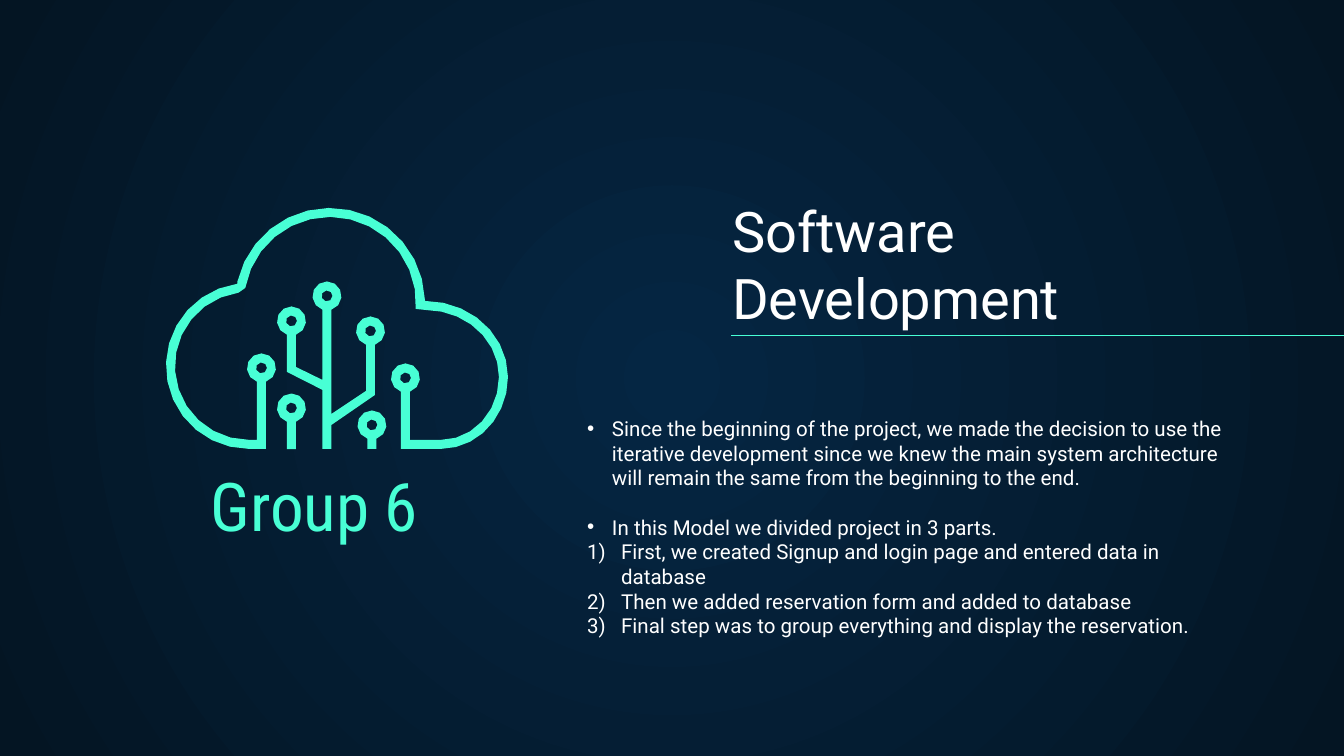
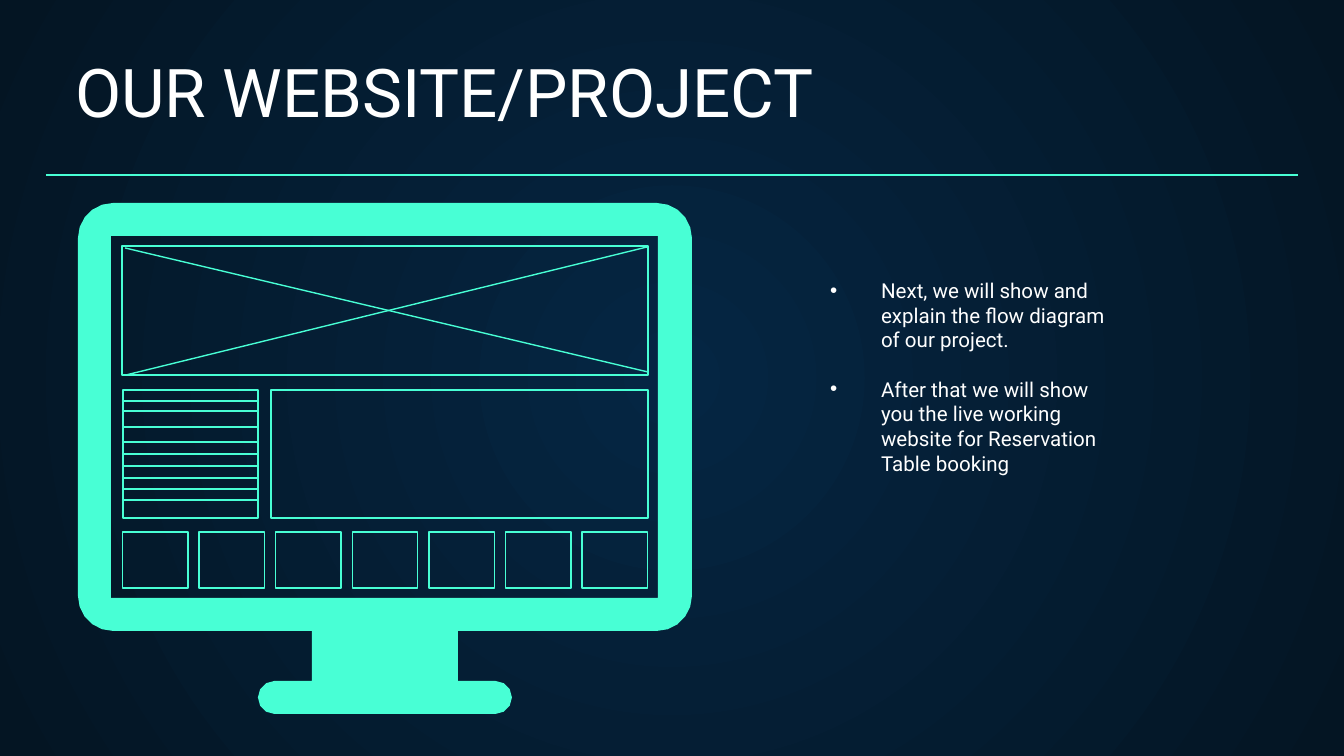
import math

from lxml import etree
from pptx import Presentation
from pptx.dml.color import RGBColor
from pptx.enum import shapes, text
from pptx.oxml.ns import qn
from pptx.util import Emu, Pt

# Shared look; lengths are pixels at 134.4 to the inch
W, H = 1344, 756
SCALE = 914400 / 134.4
GLOW, NIGHT, MINT, WHITE = "052643", "041523", "48FFD5", "FFFFFF"
FONT, CONDENSED = "Roboto", "Roboto Condensed"
INSET, LINE_PT, BODY_PT, GAP_PT = 13, 0.75, 11, 13.2
TOLERANCE = 0.6  # how far a chord may stray from its arc

# Body paragraphs: text, numbered, hanging (left, first line), space before
BULLET, NUMBER, WIDE = (25, -25), (34, -34), (67, -51)
PROCESS = [
    ("Since the beginning of the project, we made the decision to use the "
     "iterative development since we knew the main system architecture will "
     "remain the same from the beginning to the end.", False, BULLET, 0),
    ("In this Model we divided project in 3 parts.", False, BULLET, GAP_PT),
    ("First, we created Signup and login page and entered data in database",
     True, NUMBER, 0),
    ("Then we added reservation form and added to database", True, NUMBER, 0),
    ("Final step was to group everything and display the reservation.",
     True, NUMBER, 0),
]
NEXT_STEPS = [
    ("Next, we will show and explain the flow diagram of our project.",
     False, WIDE, 0),
    ("After that we will show you the live working website for Reservation "
     "Table booking", False, WIDE, GAP_PT),
]

# Cloud of circuits: node centres, ring radii, half the stroke, ground line
RING, HOLE, HALF, GROUND = 14.5, 5.5, 4.5, 449
TOP, LEFT_TWIG, RIGHT_TWIG = (327, 296), (291.5, 321), (370.5, 331)
LEFT_END, RIGHT_END = (261.5, 368), (405.5, 378)
SHORT_NODES = [(291.5, 408), (372, 425)]

# Wireframe on the monitor
PANELS = [(122, 246, 526, 129), (123, 390, 135, 128), (271, 390, 377, 128)]
TILES, TILE, TILE_STEP = 7, (122.5, 532, 65.5, 56), 76.6
CROSS = [(125, 248, 648, 372), (126, 375, 647, 247)]
MENU_LEFT, MENU_RIGHT = 123, 258
MENU_ROWS = [401, 411, 427, 442, 454, 466, 478, 489, 500]


def px(n):
    """Turn pixels into EMU."""
    return Emu(round(n * SCALE))


def rgb(value):
    """Turn a hex string into a colour."""
    return RGBColor.from_string(value)


def paint_background(master):
    """Give the master a radial glow."""
    fill = master.background.fill
    fill.gradient()
    for stop, position, colour in zip(fill.gradient_stops, (0, 1),
                                      (GLOW, NIGHT)):
        stop.position = position
        stop.color.rgb = rgb(colour)
    grad = master.element.find(".//" + qn("p:bgPr")).find(qn("a:gradFill"))
    lin = grad.find(qn("a:lin"))
    if lin is not None:
        grad.remove(lin)
    glow = etree.Element(qn("a:path"), {"path": "circle"})
    etree.SubElement(glow, qn("a:fillToRect"),
                     dict.fromkeys("ltrb", "50000"))
    grad.find(qn("a:gsLst")).addnext(glow)


def setup_frame(sp, box, anchor):
    """Place a text shape and return its prepared text frame."""
    sp.left, sp.top, sp.width, sp.height = map(px, box)
    tf = sp.text_frame
    tf.word_wrap = True
    tf.auto_size = text.MSO_AUTO_SIZE.NONE
    tf.vertical_anchor = anchor
    tf.margin_left = tf.margin_right = px(INSET)
    tf.margin_top = tf.margin_bottom = px(INSET)
    return tf


def style_runs(p, size, font, colour):
    """Format every run of a paragraph."""
    for r in p.runs:
        r.font.size = Pt(size)
        r.font.name = font
        r.font.color.rgb = rgb(colour)


def set_title(sp, box, words, size, font=FONT, colour=WHITE,
              align=text.PP_ALIGN.LEFT):
    """Write a heading that stands on the bottom of its box."""
    p = setup_frame(sp, box, text.MSO_ANCHOR.BOTTOM).paragraphs[0]
    p.text = words
    p.alignment = align
    style_runs(p, size, font, colour)


def set_bullet(p, numbered, hanging):
    """Add a white dot or number with a hanging indent."""
    pPr = p._p.get_or_add_pPr()
    pPr.set("marL", str(px(hanging[0])))
    pPr.set("indent", str(px(hanging[1])))
    colour = etree.SubElement(pPr, qn("a:buClr"))
    etree.SubElement(colour, qn("a:srgbClr"), val=WHITE)
    if numbered:
        etree.SubElement(pPr, qn("a:buAutoNum"), type="arabicParenR")
    else:
        etree.SubElement(pPr, qn("a:buFont"), typeface="Arial")
        etree.SubElement(pPr, qn("a:buChar"), char="•")


def set_body(sp, box, items):
    """Write a list into the body placeholder."""
    tf = setup_frame(sp, box, text.MSO_ANCHOR.TOP)
    tf.text = "\n".join(item[0] for item in items)
    for p, (_, numbered, hanging, before) in zip(tf.paragraphs, items):
        p.alignment = text.PP_ALIGN.LEFT
        p.space_before = Pt(before)
        style_runs(p, BODY_PT, FONT, WHITE)
        set_bullet(p, numbered, hanging)


def add_line(slide, x1, y1, x2, y2):
    """Draw a thin mint line."""
    line = slide.shapes.add_connector(shapes.MSO_CONNECTOR.STRAIGHT,
                                      *map(px, (x1, y1, x2, y2)))
    line.line.color.rgb = rgb(MINT)
    line.line.width = Pt(LINE_PT)
    etree.SubElement(line._element.spPr, qn("a:effectLst"))


def add_frame(slide, box):
    """Draw an empty rectangle with a thin mint outline."""
    sp = slide.shapes.add_shape(shapes.MSO_SHAPE.RECTANGLE, *map(px, box))
    sp.shadow.inherit = False
    sp.fill.background()
    sp.line.color.rgb = rgb(MINT)
    sp.line.width = Pt(LINE_PT)


def add_solid(slide, *contours):
    """Fill an outline with mint; further contours are holes."""
    first, *holes = [[(px(x), px(y)) for x, y in c] for c in contours]
    builder = slide.shapes.build_freeform(*first[0], scale=1.0)
    builder.add_line_segments(first[1:], close=True)
    for gap in holes:
        builder.move_to(*gap[0])
        builder.add_line_segments(gap[1:], close=True)
    sp = builder.convert_to_shape()
    sp.shadow.inherit = False
    sp.fill.solid()
    sp.fill.fore_color.rgb = rgb(MINT)
    sp.line.fill.background()


def arc(cx, cy, rx, ry, start, end):
    """Return as few points on an arc as look round; degrees run clockwise."""
    step = 2 * math.degrees(math.acos(1 - TOLERANCE / max(rx, ry)))
    n = math.ceil(abs(end - start) / step)
    angles = [math.radians(start + (end - start) * i / n)
              for i in range(n + 1)]
    return [(cx + rx * math.cos(a), cy + ry * math.sin(a)) for a in angles]


def head(node):
    """Return a node's rim from the right of its stem to the left."""
    gap = math.degrees(math.asin(HALF / RING))
    return arc(*node, RING, RING, 90 - gap, -270 + gap)


def hole(node):
    """Return the opening in a node."""
    return arc(*node, HOLE, HOLE, 0, 315)


def draw_cloud(slide):
    """Draw the cloud with its circuit tree."""
    left, right = TOP[0] - HALF, TOP[0] + HALF
    tree = ([(right, GROUND), (right, 425), (RIGHT_TWIG[0] + HALF, 395)]
            + head(RIGHT_TWIG) + [(RIGHT_TWIG[0] - HALF, 391), (right, 414)]
            + head(TOP) + [(left, 380), (LEFT_TWIG[0] + HALF, 367)]
            + head(LEFT_TWIG) + [(LEFT_TWIG[0] - HALF, 372), (left, 390),
                                 (left, GROUND)])
    add_solid(slide, tree, *map(hole, (TOP, LEFT_TWIG, RIGHT_TWIG)))

    inner = GROUND - 2 * HALF
    outline = ([(LEFT_END[0] + HALF, GROUND)]
               + arc(249, 366, 83, 83, 90, 262)
               + arc(330, 303, 95, 95, 193, 358)
               + arc(425, 377, 83, 76, -90, 0)
               + arc(441, 377, 67, 72, 0, 90)
               + [(RIGHT_END[0] - HALF, GROUND)] + head(RIGHT_END)[::-1]
               + [(RIGHT_END[0] + HALF, inner)]
               + arc(441, 377, 58, 63, 90, 0)
               + arc(425, 377, 74, 67, 0, -90)
               + arc(330, 303, 86, 86, 4, -170)
               + arc(249, 366, 74, 74, 262, 90)
               + [(LEFT_END[0] - HALF, inner)] + head(LEFT_END)[::-1])
    add_solid(slide, outline, hole(LEFT_END), hole(RIGHT_END))

    for node in SHORT_NODES:
        stem = [(node[0] - HALF, GROUND), (node[0] + HALF, GROUND)]
        add_solid(slide, head(node) + stem, hole(node))


def draw_monitor(slide):
    """Draw the monitor with its stand."""
    r, foot = 35, 16.5
    outline = (arc(78 + r, 203 + r, r, r, 180, 270)
               + arc(692 - r, 203 + r, r, r, 270, 360)
               + arc(692 - r, 631 - r, r, r, 0, 90)
               + [(458, 631), (458, 681)]
               + arc(512 - foot, 681 + foot, foot, foot, -90, 90)
               + arc(258 + foot, 681 + foot, foot, foot, 90, 270)
               + [(312, 681), (312, 631)]
               + arc(78 + r, 631 - r, r, r, 90, 180))
    screen = [(111, 236), (658, 236), (658, 598), (111, 598)]
    add_solid(slide, outline, screen)


def draw_wireframe(slide):
    """Draw the page layout on the screen."""
    x, y, w, h = TILE
    tiles = [(x + i * TILE_STEP, y, w, h) for i in range(TILES)]
    for box in PANELS + tiles:
        add_frame(slide, box)
    rows = [(MENU_LEFT, row, MENU_RIGHT, row) for row in MENU_ROWS]
    for ends in CROSS + rows:
        add_line(slide, *ends)


def new_slide(prs, title, body):
    """Add a slide; title is (box, words, size), body is (box, items)."""
    slide = prs.slides.add_slide(prs.slide_layouts[0])
    set_title(slide.shapes.title, *title)
    set_body(slide.placeholders[1], *body)
    return slide


prs = Presentation()
prs.slide_width, prs.slide_height = px(W), px(H)
paint_background(prs.slide_master)

s = new_slide(prs, ((719, 255, 519, 89), "Software Development", 30),
              ((574, 403, 684, 312), PROCESS))
add_line(s, 731, 335.5, W, 335.5)
draw_cloud(s)
set_title(s.shapes.add_textbox(0, 0, 0, 0), (154, 469, 321, 89), "Group 6",
          36, CONDENSED, MINT, text.PP_ALIGN.CENTER)

s = new_slide(prs, ((62, 55, 1253, 89), "OUR WEBSITE/PROJECT", 36),
              ((801, 265, 320, 254), NEXT_STEPS))
draw_monitor(s)
draw_wireframe(s)
add_line(s, 46, 175, W - 46, 175)

prs.save("out.pptx")
